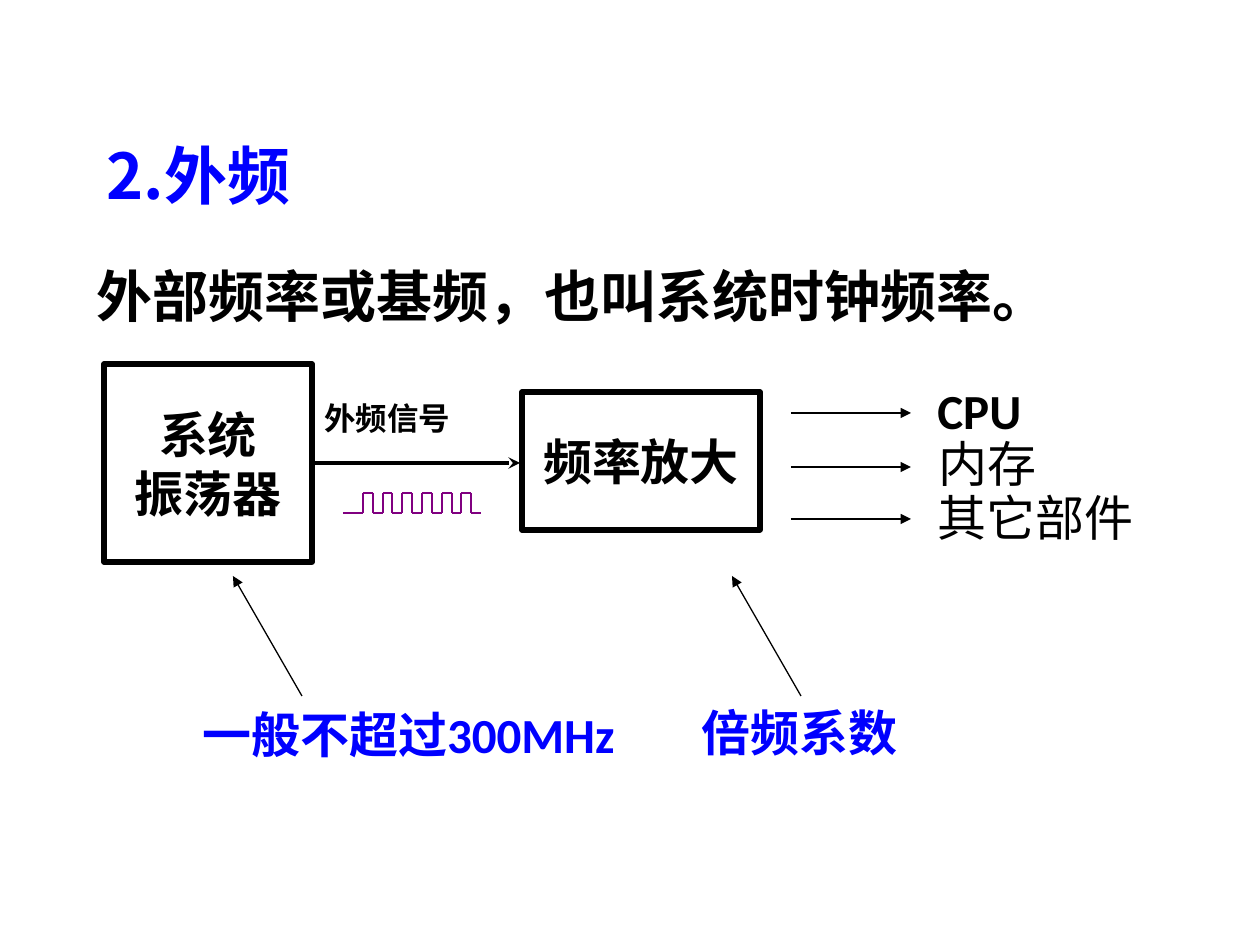
from lxml.etree import SubElement
from pptx import Presentation
from pptx.dml.color import RGBColor
from pptx.enum.shapes import MSO_CONNECTOR as Connector, MSO_SHAPE as Preset
from pptx.enum.text import MSO_ANCHOR as Anchor, MSO_AUTO_SIZE as AutoSize, PP_ALIGN as Align
from pptx.oxml.ns import qn
from pptx.util import Emu, Pt

PX = 914400 / 126
BLACK = RGBColor(0x00, 0x00, 0x00)
BLUE = RGBColor(0x00, 0x00, 0xFF)
PURPLE = RGBColor(0x80, 0x00, 0x80)
LATIN, CJK = "Calibri", "Noto Sans CJK SC"


def px(*lengths):
    return [Emu(round(length * PX)) for length in lengths]


def add_span(para, text, size, color, bold, font):
    span = para.add_run()
    span.text = text
    span.font.size = Pt(size)
    span.font.bold = bold
    span.font.color.rgb = color
    span.font.name = font
    SubElement(span.font._element, qn("a:ea"), typeface=CJK)


def add_label(shapes, place, text, size=28, color=BLACK, bold=True,
              font=LATIN, wrap=False, spacing=None):
    box = shapes.add_textbox(*px(*place))
    frame = box.text_frame
    frame.word_wrap = wrap
    frame.auto_size = AutoSize.SHAPE_TO_FIT_TEXT
    para = frame.paragraphs[0]
    para.line_spacing = spacing
    add_span(para, text, size, color, bold, font)


def add_block(shapes, place, lines):
    block = shapes.add_shape(Preset.RECTANGLE, *px(*place))
    block.shadow.inherit = False
    block.fill.background()
    block.line.color.rgb = BLACK
    block.line.width = Pt(3)
    frame = block.text_frame
    frame.word_wrap = False
    frame.vertical_anchor = Anchor.MIDDLE
    for index, text in enumerate(lines):
        para = frame.add_paragraph() if index else frame.paragraphs[0]
        para.alignment = Align.CENTER
        add_span(para, text, 28, BLACK, True, LATIN)


def add_line(shapes, start, end, color=BLACK, width=0.75, head=None):
    line = shapes.add_connector(Connector.STRAIGHT, *px(*start, *end))
    line.line.color.rgb = color
    line.line.width = Pt(width)
    if head:
        SubElement(line.line._get_or_add_ln(), qn("a:tailEnd"), type=head)
    SubElement(line._element.spPr, qn("a:effectLst"))


def add_pulse_train(shapes, left, first_edge, right, high, low, edges=12):
    step = (right - first_edge) / edges
    corners = [(left, low)]
    level = low
    for edge in range(edges):
        x = round(first_edge + edge * step)
        corners.append((x, level))
        level = high if level == low else low
        corners.append((x, level))
    corners.append((right, low))
    train = shapes.add_group_shape()
    for start, end in zip(corners, corners[1:]):
        add_line(train.shapes, start, end, PURPLE, 1.5)


def main():
    deck = Presentation()
    deck.slide_width, deck.slide_height = px(1260, 945)
    page = deck.slides.add_slide(deck.slide_layouts[6])
    shapes = page.shapes

    # Heading and definition
    add_label(shapes, (94, 145, 462, 73), "2.外频", 36, BLUE, font=CJK,
              wrap=True, spacing=0.8)
    add_label(shapes, (84, 255, 1032, 79), "外部频率或基频，也叫系统时钟频率。",
              32, wrap=True)

    # Oscillator and multiplier
    add_block(shapes, (104, 364, 208, 198), ["系统", "振荡器"])
    add_block(shapes, (522, 392, 238, 138), ["频率放大"])

    # Outputs: arrow height, label place, text, bold
    outputs = [
        (413, (925, 374, 126, 72), "CPU", True),
        (467, (926, 427, 123, 72), "内存", False),
        (519, (925, 481, 222, 72), "其它部件", False),
    ]
    for y, place, text, bold in outputs:
        add_line(shapes, (791, y), (911, y), head="triangle")
        add_label(shapes, place, text, bold=bold)

    # External clock signal
    signal = shapes.add_group_shape()
    add_line(signal.shapes, (315, 463), (520, 463), width=2.25, head="stealth")
    add_label(signal.shapes, (312, 393, 154, 50), "外频信号", 18)
    add_pulse_train(shapes, 343, 363, 481, high=493, low=513)

    # Notes pointing up at the blocks
    notes = [
        ((302, 696), (190, 698, 451, 72), "一般不超过300MHz"),
        ((801, 696), (689, 696, 222, 72), "倍频系数"),
    ]
    for (x, y), place, text in notes:
        add_line(shapes, (x, y), (x - 69, y - 120), head="triangle")
        add_label(shapes, place, text, color=BLUE)

    deck.save("out.pptx")


if __name__ == "__main__":
    main()
